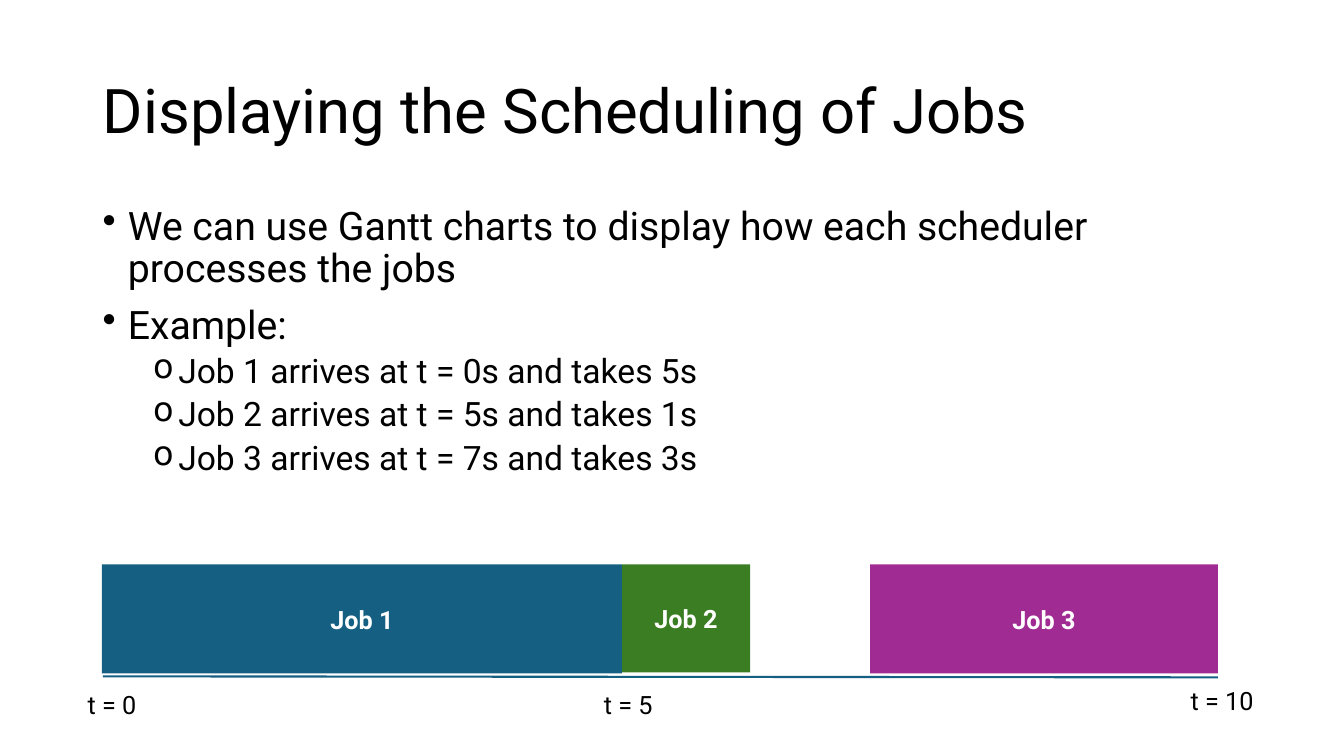
from lxml.etree import SubElement
from pptx import Presentation
from pptx.dml.color import RGBColor
from pptx.enum.shapes import MSO_CONNECTOR, MSO_SHAPE
from pptx.enum.text import MSO_ANCHOR, MSO_AUTO_SIZE, PP_ALIGN
from pptx.oxml.ns import qn
from pptx.util import Inches, Pt

FONT = "Roboto"
BLACK = RGBColor(0x00, 0x00, 0x00)
WHITE = RGBColor(0xFF, 0xFF, 0xFF)
BLUE = RGBColor(0x15, 0x60, 0x82)
GREEN = RGBColor(0x3B, 0x7D, 0x23)
PURPLE = RGBColor(0xA0, 0x2B, 0x93)

TITLE = "Displaying the Scheduling of Jobs"
BULLETS = [  # level, text
    (0, "We can use Gantt charts to display how each scheduler processes the jobs"),
    (0, "Example:"),
    (1, "Job 1 arrives at t = 0s and takes 5s"),
    (1, "Job 2 arrives at t = 5s and takes 1s"),
    (1, "Job 3 arrives at t = 7s and takes 3s"),
]
LEVELS = [("•", 28, 10, 0.25), ("o", 24, 5, 0.75)]  # mark, size, space before, indent
JOBS = [  # name, left, width, height, colour
    ("Job 1", 1.01, 5.16, 1.08, BLUE),
    ("Job 2", 6.17, 1.27, 1.07, GREEN),
    ("Job 3", 8.63, 3.45, 1.08, PURPLE),
]
TICKS = [  # text, left, top, width
    ("t = 0", 0.77, 6.79, 0.78),
    ("t = 5", 5.89, 6.79, 0.78),
    ("t = 10", 11.71, 6.75, 0.98),
]
BAR_TOP = 5.6


def set_font(para, size, color=BLACK, bold=False):
    font = para.font
    font.name, font.size, font.bold = FONT, Pt(size), bold
    font.color.rgb = color


def add_text_box(page, left, top, width, height):
    box = page.shapes.add_textbox(Inches(left), Inches(top), Inches(width), Inches(height))
    box.text_frame.word_wrap = True
    return box.text_frame


def add_title(page):
    title = page.shapes.title
    title.left, title.top = Inches(0.92), Inches(0.4)
    title.width, title.height = Inches(11.5), Inches(1.45)
    title.text_frame.text = TITLE
    title.text_frame.vertical_anchor = MSO_ANCHOR.MIDDLE
    para = title.text_frame.paragraphs[0]
    para.alignment = PP_ALIGN.LEFT
    para.line_spacing = 0.9
    set_font(para, 44)


def add_bullets(page):
    frame = add_text_box(page, 0.92, 2, 11.5, 4.76)
    for index, (level, text) in enumerate(BULLETS):
        mark, size, space, indent = LEVELS[level]
        para = frame.add_paragraph() if index else frame.paragraphs[0]
        para.text = text
        para.level = level
        para.line_spacing = 0.9
        para.space_before = Pt(space)
        props = para._p.get_or_add_pPr()
        props.set("marL", str(Inches(indent)))
        props.set("indent", str(Inches(-0.25)))
        SubElement(props, qn("a:buChar"), char=mark)
        set_font(para, size)


def add_time_axis(page):
    axis = page.shapes.add_connector(
        MSO_CONNECTOR.STRAIGHT, Inches(1.02), Inches(6.71), Inches(12.08), Inches(6.72))
    axis.line.color.rgb = BLUE
    axis.line.width = Pt(1.5)
    SubElement(axis._element.spPr, qn("a:effectLst"))
    for text, left, top, width in TICKS:
        frame = add_text_box(page, left, top, width, 0.4)
        frame.auto_size = MSO_AUTO_SIZE.SHAPE_TO_FIT_TEXT
        frame.text = text
        set_font(frame.paragraphs[0], 18)


def add_jobs(page):
    for name, left, width, height, color in JOBS:
        bar = page.shapes.add_shape(
            MSO_SHAPE.RECTANGLE, Inches(left), Inches(BAR_TOP), Inches(width), Inches(height))
        bar.shadow.inherit = False
        bar.fill.solid()
        bar.fill.fore_color.rgb = color
        bar.line.fill.background()
        bar.text_frame.text = name
        bar.text_frame.vertical_anchor = MSO_ANCHOR.MIDDLE
        para = bar.text_frame.paragraphs[0]
        para.alignment = PP_ALIGN.CENTER
        set_font(para, 18, WHITE, bold=True)


def main():
    deck = Presentation()
    deck.slide_width, deck.slide_height = Inches(13.33), Inches(7.5)
    page = deck.slides.add_slide(deck.slide_layouts[5])
    add_title(page)
    add_bullets(page)
    add_time_axis(page)
    add_jobs(page)
    deck.save("out.pptx")


if __name__ == "__main__":
    main()
